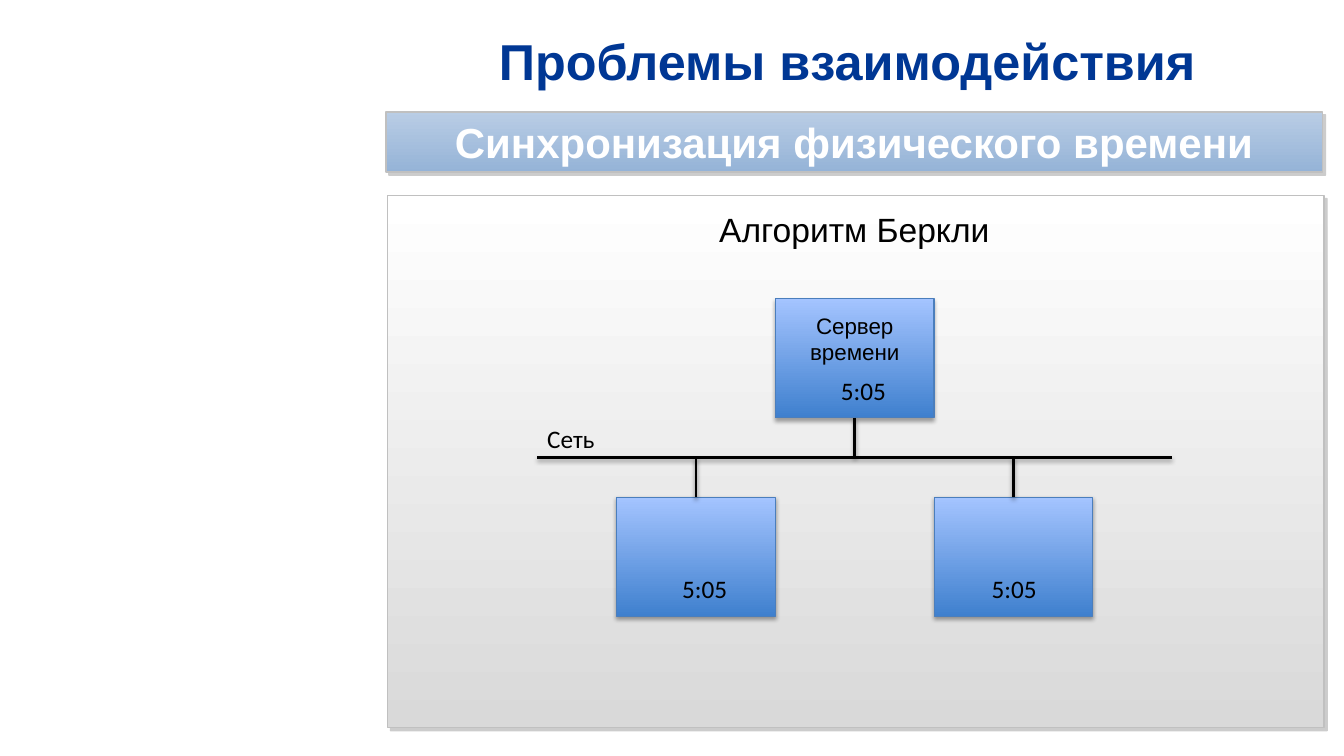
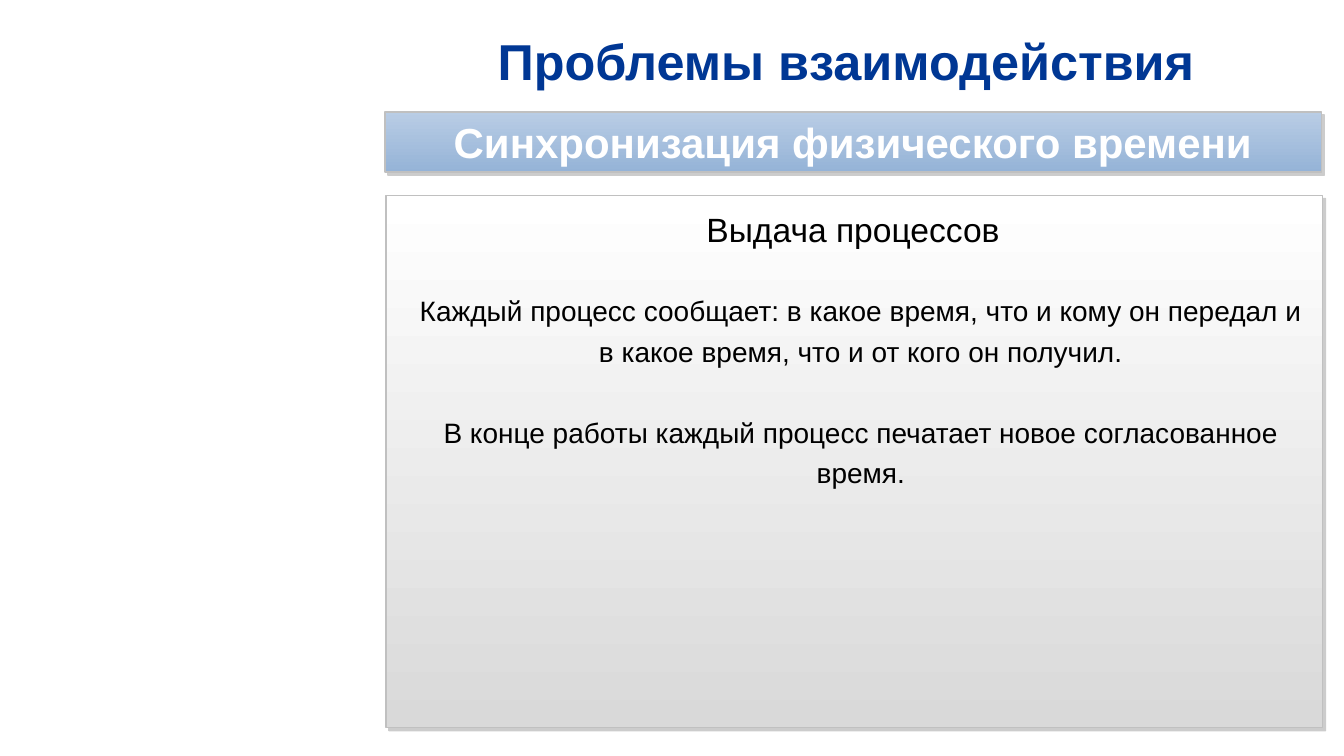
from lxml import etree
from pptx import Presentation
from pptx.dml.color import RGBColor
from pptx.enum import shapes, text
from pptx.oxml import ns
from pptx.util import Cm, Pt

NAVY = RGBColor(0x00, 0x37, 0x94)
WHITE = RGBColor(0xFF, 0xFF, 0xFF)
BLACK = RGBColor(0x00, 0x00, 0x00)
PALE_GRAY = RGBColor(0xD9, 0xD9, 0xD9)
EDGE_GRAY = RGBColor(0xC0, 0xC0, 0xC0)
BAND_TOP = RGBColor(0xB9, 0xCD, 0xE5)
BAND_BOTTOM = RGBColor(0x95, 0xB3, 0xD7)
NODE_TOP = RGBColor(0xA4, 0xC4, 0xFF)
NODE_BOTTOM = RGBColor(0x3F, 0x80, 0xCE)
NODE_EDGE = RGBColor(0x4B, 0x7E, 0xBC)

# Shadows: colour, opacity %, blur pt, distance pt, angle
PANEL_SHADOW = ("808080", 40, 0, 3, 45)
NODE_SHADOW = ("000000", 35, 3.1, 1.8, 90)
LINE_SHADOW = ("000000", 38, 3.1, 1.6, 90)

CONTENT_W = 23.6
NODE_W, NODE_H = 4, 3
CENTER = text.PP_ALIGN.CENTER
LEFT = text.PP_ALIGN.LEFT


def add_shadow(shape, color, opacity, blur, distance, angle):
    """Append an outer shadow; fill and line must already be set."""
    effects = etree.SubElement(shape.element.spPr, ns.qn("a:effectLst"))
    outer = etree.SubElement(
        effects, ns.qn("a:outerShdw"), blurRad=str(int(Pt(blur))),
        dist=str(int(Pt(distance))), dir=str(angle * 60000),
        algn="tl", rotWithShape="0")
    clr = etree.SubElement(outer, ns.qn("a:srgbClr"), val=color)
    etree.SubElement(clr, ns.qn("a:alpha"), val=str(opacity * 1000))


def add_box(slide, x, y, w, h, top, bottom, edge, edge_width, shadow):
    """Add a rectangle shaded from top to bottom."""
    sp = slide.shapes.add_shape(
        shapes.MSO_SHAPE.RECTANGLE, Cm(x), Cm(y), Cm(w), Cm(h))
    sp.fill.gradient()
    sp.fill.gradient_angle = 270
    for stop, color, position in zip(sp.fill.gradient_stops, (top, bottom), (0, 1)):
        stop.color.rgb = color
        stop.position = position
    sp.line.color.rgb = edge
    sp.line.width = Pt(edge_width)
    add_shadow(sp, *shadow)
    return sp


def write(p, content, size, color=BLACK, font="Arial", bold=False, align=CENTER):
    p.alignment = align
    r = p.add_run()
    r.text = content
    r.font.name = font
    r.font.size = Pt(size)
    r.font.bold = bold
    r.font.color.rgb = color


def add_text_frame(slide, x, y, w, h):
    tf = slide.shapes.add_textbox(Cm(x), Cm(y), Cm(w), Cm(h)).text_frame
    tf.word_wrap = True
    return tf


def add_label(slide, x, y, w, content):
    tf = add_text_frame(slide, x, y, w, 1.02)
    write(tf.paragraphs[0], content, 18, font="Calibri", align=LEFT)


def add_line(slide, x1, y1, x2, y2):
    line = slide.shapes.add_connector(
        shapes.MSO_CONNECTOR.STRAIGHT, Cm(x1), Cm(y1), Cm(x2), Cm(y2))
    line.line.color.rgb = BLACK
    line.line.width = Pt(2)
    add_shadow(line, *LINE_SHADOW)
    return line


def add_node(slide, center, y, time_offset):
    """Add a computer that shows its clock."""
    x = center - NODE_W / 2
    node = add_box(slide, x, y, NODE_W, NODE_H, NODE_TOP, NODE_BOTTOM,
                   NODE_EDGE, 0.75, NODE_SHADOW)
    add_label(slide, x + time_offset, y + 1.8, 1.8, "5:05")
    return node


def start_slide(prs, x, panel_x, heading):
    """Add a slide with title, band, panel and panel heading."""
    slide = prs.slides.add_slide(prs.slide_layouts[6])
    add_box(slide, panel_x, 4.93, CONTENT_W, 13.41, WHITE, PALE_GRAY,
            EDGE_GRAY, 1, PANEL_SHADOW)

    tf = add_text_frame(slide, x, 0.66, CONTENT_W, 1.73)
    tf.vertical_anchor = text.MSO_ANCHOR.MIDDLE
    write(tf.paragraphs[0], "Проблемы взаимодействия ", 36, NAVY, bold=True)

    band = add_box(slide, x, 2.82, CONTENT_W, 1.52, BAND_TOP, BAND_BOTTOM,
                   EDGE_GRAY, 1, PANEL_SHADOW)
    tf = band.text_frame
    tf.vertical_anchor = text.MSO_ANCHOR.MIDDLE
    tf.margin_left = tf.margin_right = Cm(0.6)
    tf.margin_top = tf.margin_bottom = Cm(0.1)
    write(tf.paragraphs[0], "Синхронизация физического времени", 30, WHITE, bold=True)

    tf = add_text_frame(slide, x + 0.4, 5.13, 22.8, 1.28)
    write(tf.paragraphs[0], heading, 24)
    return slide


def add_network(slide):
    center, server_y, gap = 21.54, 7.53, 1
    net_y = server_y + NODE_H + gap
    net_left = center - 2 * NODE_W
    add_line(slide, net_left, net_y, center + 2 * NODE_W, net_y)
    add_label(slide, net_left, net_y - gap, 2.4, "Сеть")

    server = add_node(slide, center, server_y, 1.4)
    link = add_line(slide, center, net_y - gap, center, net_y)
    link.begin_connect(server, 2)
    tf = add_text_frame(slide, center - 1.8, server_y + 0.2, 3.6, 1.63)
    write(tf.paragraphs[0], "Сервер времени", 16)

    for client_x, time_offset in ((center - NODE_W, 1.4), (center + NODE_W, 1.2)):
        client = add_node(slide, client_x, net_y + gap, time_offset)
        link = add_line(slide, client_x, net_y, client_x, net_y + gap)
        link.end_connect(client, 0)


def add_body(slide, x, paragraphs):
    tf = add_text_frame(slide, x, 7.11, 23.19, 5.38)
    for i, content in enumerate(paragraphs):
        p = tf.add_paragraph() if i else tf.paragraphs[0]
        p.line_spacing = 1.2
        if i:
            p.space_before = Pt(29)
        write(p, content, 20)


def main():
    prs = Presentation()
    prs.slide_width, prs.slide_height = Cm(33.87), Cm(19.05)

    add_network(start_slide(prs, 9.73, 9.77, "Алгоритм Беркли"))

    slide = start_slide(prs, 9.7, 9.73, "Выдача процессов")
    add_body(slide, 10.1, (
        "Каждый процесс сообщает: в какое время, что и кому он передал "
        "и в какое время, что и от кого он получил.",
        "В конце работы каждый процесс печатает новое согласованное время.",
    ))
    prs.save("out.pptx")


if __name__ == "__main__":
    main()
